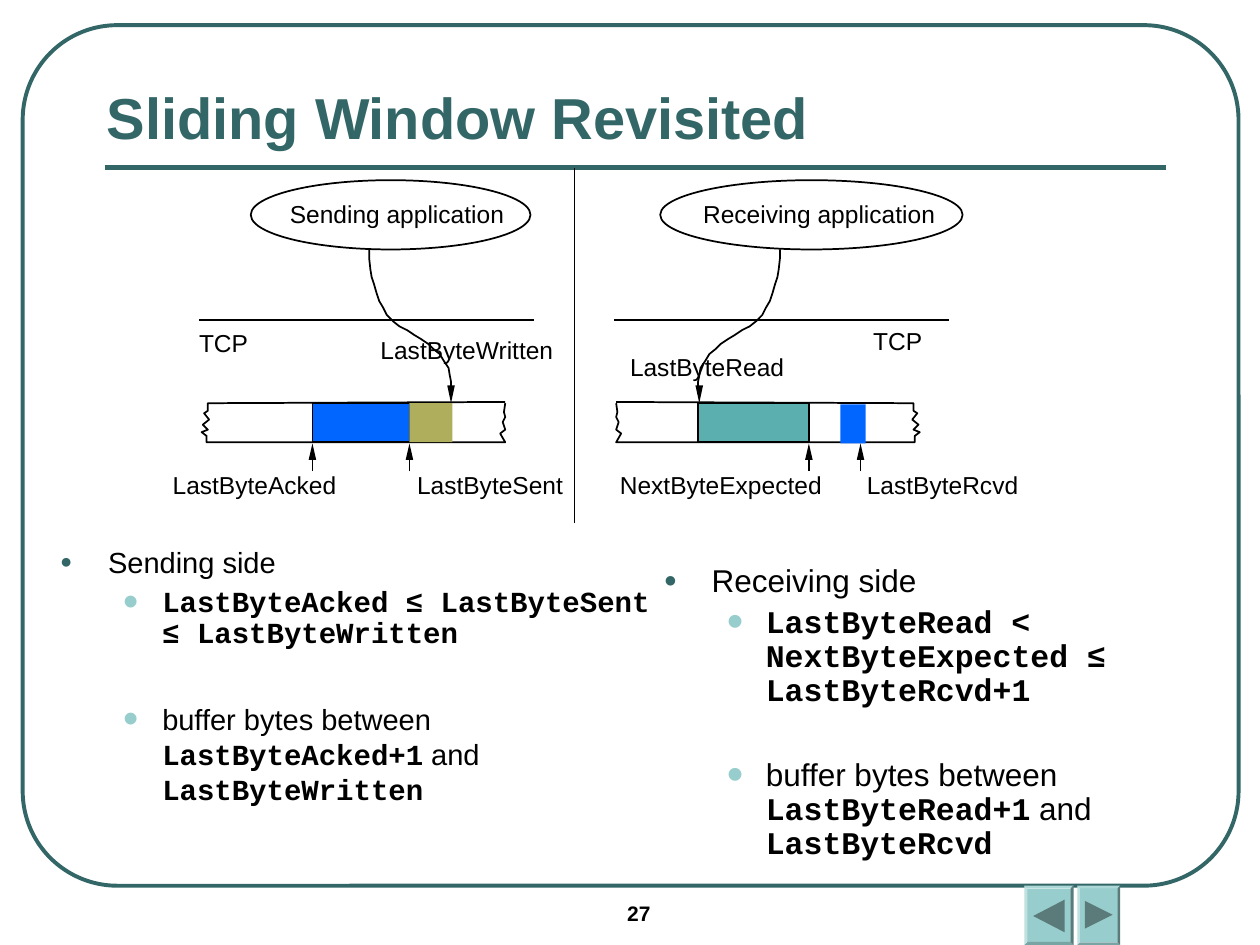
from lxml.etree import SubElement
from pptx import Presentation
from pptx.dml.color import RGBColor
from pptx.enum.shapes import MSO_CONNECTOR, MSO_SHAPE
from pptx.enum.text import MSO_ANCHOR
from pptx.oxml.ns import qn
from pptx.util import Inches, Pt

COLORS = {
    "frame": "336666", "black": "000000", "button": "97CDCC", "icon": "5A7B7A",
    "blue": "0066FF", "teal": "5BB0AF", "olive": "AEAE5D",
}
TITLE = "Sliding Window Revisited"
PAGE_NUMBER = "27"
SANS, MONO = "Arial", "Courier New"

# Each run is (text, font, bold); each bullet is (runs, line spacing, space before)
SIDES = [
    {"box": (5.17, 4.4, 4.5, 2.67), "size": 18, "heading": "Receiving side", "bullets": [
        ([("LastByteRead ", MONO, True), ("<", SANS, True),
          (" NextByteExpected ≤ LastByteRcvd+1", MONO, True)], 0.9, 4.5),
        ([("buffer bytes between ", SANS, False), ("LastByteRead+1", MONO, True),
          (" and ", SANS, False), ("LastByteRcvd", MONO, True)], 0.9, 29),
    ]},
    {"box": (0.38, 4.27, 5.03, 2.79), "size": 16.6, "heading": "Sending side", "bullets": [
        ([("LastByteAcked ≤ LastByteSent ≤ LastByteWritten", MONO, True)], 0.9, 4.5),
        ([("buffer bytes between ", SANS, False), ("LastByteAcked+1", MONO, True),
          (" and ", SANS, False), ("LastByteWritten", MONO, True)], 1.0, 29.5),
    ]},
]
LABEL_SLACK = 0.15  # extra width that keeps each label on one line
LABELS = [  # text, left, top, width
    ("Sending application", 2.3, 1.58, 1.7), ("Receiving application", 5.58, 1.58, 1.84),
    ("TCP", 1.58, 2.6, 0.39), ("TCP", 6.93, 2.59, 0.39),
    ("LastByteWritten", 3.02, 2.66, 1.38), ("LastByteRead", 5, 2.79, 1.23),
    ("LastByteAcked", 1.37, 3.73, 1.3), ("LastByteSent", 3.31, 3.73, 1.16),
    ("NextByteExpected", 4.92, 3.73, 1.61), ("LastByteRcvd", 6.88, 3.73, 1.2),
]
APPLICATIONS = [(1.99, 1.43, 2.22, 0.55), (5.24, 1.43, 2.4, 0.55)]
TCP_LINES = [(1.58, 4.24), (4.87, 7.53)]
POINTERS_UP = [2.48, 3.25, 6.42, 6.83]
POINTERS_DOWN = [3.58, 5.55]
SEGMENTS = [  # left, top, width, fill, outlined
    (2.48, 3.2, 0.77, "blue", True), (5.54, 3.2, 0.88, "teal", True),
    (3.25, 3.2, 0.34, "olive", False), (6.67, 3.21, 0.2, "blue", False),
]
SEGMENT_HEIGHT = 0.31
# Sending-side outlines; the receiving side mirrors them
BUFFER = [
    (4.01, 3.19), (1.65, 3.2), (1.65, 3.26), (1.62, 3.28), (1.66, 3.33), (1.61, 3.37),
    (1.65, 3.41), (1.6, 3.43), (1.64, 3.46), (1.64, 3.51), (4.01, 3.51), (3.97, 3.44),
    (4.01, 3.41), (3.99, 3.35), (4.01, 3.31), (4, 3.27), (4.01, 3.2),
]
WRITE_PATH = [
    (2.93, 1.98), (2.93, 2.05), (2.94, 2.14), (2.95, 2.2), (2.97, 2.26), (2.99, 2.33),
    (3.01, 2.39), (3.04, 2.44), (3.07, 2.5), (3.12, 2.55), (3.17, 2.59), (3.23, 2.62),
    (3.29, 2.66), (3.34, 2.69), (3.4, 2.73), (3.44, 2.77), (3.49, 2.81), (3.52, 2.86),
    (3.54, 2.89), (3.56, 2.92), (3.57, 2.98), (3.58, 3.03), (3.58, 3.07),
]
MIRRORED = [(BUFFER, 8.9), (WRITE_PATH, 9.12)]  # outline, sum of mirrored x values
BUTTONS = [
    ((8.13, 7.03, 0.39, 0.47), [(8.2, 7.27), (8.45, 7.14), (8.45, 7.4)]),
    ((8.55, 7.03, 0.34, 0.47), [(8.61, 7.15), (8.83, 7.26), (8.61, 7.37)]),
]


def rgb(name):
    return RGBColor.from_string(COLORS[name])


def style(shape, fill=None, line=None, width=1):
    shape.shadow.inherit = False
    if fill:
        shape.fill.solid()
        shape.fill.fore_color.rgb = rgb(fill)
    else:
        shape.fill.background()
    if line:
        shape.line.color.rgb = rgb(line)
        shape.line.width = Pt(width)
    else:
        shape.line.fill.background()
    return shape


def add_preset(kind, box, **look):
    return style(slide.shapes.add_shape(kind, *map(Inches, box)), **look)


def add_outline(points, close=False, **look):
    corners = [(Inches(x), Inches(y)) for x, y in points]
    builder = slide.shapes.build_freeform(*corners[0])
    builder.add_line_segments(corners[1:], close=close)
    return style(builder.convert_to_shape(), **look)


def add_line(x1, y1, x2, y2, color="black", width=1):
    line = slide.shapes.add_connector(MSO_CONNECTOR.STRAIGHT, *map(Inches, (x1, y1, x2, y2)))
    line.line.color.rgb = rgb(color)
    line.line.width = Pt(width)
    SubElement(line._element.spPr, qn("a:effectLst"))


def add_arrowhead(x, tip, base):
    add_outline([(x - 0.03, base), (x, tip), (x + 0.03, base)], close=True, fill="black")


def set_font(font, size, color="black", bold=False, name=SANS):
    font.size, font.bold, font.name = Pt(size), bold, name
    font.color.rgb = rgb(color)


def add_text(text, box, size, color="black", bold=False):
    frame = slide.shapes.add_textbox(*map(Inches, box)).text_frame
    frame.word_wrap = True
    frame.text = text
    set_font(frame.paragraphs[0].font, size, color, bold)
    return frame


def set_bullet(paragraph, char, color, percent, margin, hanging):
    props = paragraph._p.get_or_add_pPr()
    props.set("marL", str(Inches(margin)))
    props.set("indent", str(-Inches(hanging)))
    SubElement(SubElement(props, qn("a:buClr")), qn("a:srgbClr"), val=COLORS[color])
    SubElement(props, qn("a:buSzPct"), val=str(percent * 1000))
    SubElement(props, qn("a:buFont"), typeface=SANS)
    SubElement(props, qn("a:buChar"), char=char)


def add_side(side):
    frame = add_text(side["heading"], side["box"], side["size"])
    set_bullet(frame.paragraphs[0], "●", "frame", 70, 0.38, 0.38)
    for runs, spacing, before in side["bullets"]:
        bullet = frame.add_paragraph()
        bullet.level = 1
        set_bullet(bullet, "•", "button", 150, 0.81, 0.31)
        bullet.line_spacing, bullet.space_before = spacing, Pt(before)
        for text, name, bold in runs:
            run = bullet.add_run()
            run.text = text
            set_font(run.font, side["size"], bold=bold, name=name)


prs = Presentation()
prs.slide_width, prs.slide_height = Inches(10), Inches(7.5)
slide = prs.slides.add_slide(prs.slide_layouts[6])

border = add_preset(MSO_SHAPE.ROUNDED_RECTANGLE, (0.18, 0.2, 9.65, 6.83),
                    line="frame", width=2.25)
border.adjustments[0] = 0.11
add_line(0.83, 1.33, 9.25, 1.33, "frame", 3)
for box, arrow in BUTTONS:
    add_preset(MSO_SHAPE.BEVEL, box, fill="button").adjustments[0] = 0.06
    add_outline(arrow, close=True, fill="icon")

add_text(PAGE_NUMBER, (4.88, 7.1, 1.17, 0.33), 12, bold=True)
title = add_text(TITLE, (0.75, 0.17, 8.5, 1.08), 33, "frame", bold=True)
title.vertical_anchor = MSO_ANCHOR.BOTTOM
for side in SIDES:
    add_side(side)

for left, right in TCP_LINES:
    add_line(right, 2.54, left, 2.54)
for points, axis in MIRRORED:
    add_outline(points, line="black")
    add_outline([(axis - x, y) for x, y in points], line="black")
for left, top, width, fill, outlined in SEGMENTS:
    add_preset(MSO_SHAPE.RECTANGLE, (left, top, width, SEGMENT_HEIGHT),
               fill=fill, line="black" if outlined else None)
for x in POINTERS_DOWN:
    add_arrowhead(x, 3.2, 3.06)
for x in POINTERS_UP:
    add_line(x, 3.74, x, 3.63)
    add_arrowhead(x, 3.52, 3.65)
add_line(4.56, 4.15, 4.56, 1.33)
for box in APPLICATIONS:
    add_preset(MSO_SHAPE.OVAL, box, line="black")
for text, left, top, width in LABELS:
    label = add_text(text, (left, top, width + LABEL_SLACK, 0.23), 14)
    label.margin_left = label.margin_right = label.margin_top = label.margin_bottom = 0

prs.save("out.pptx")
